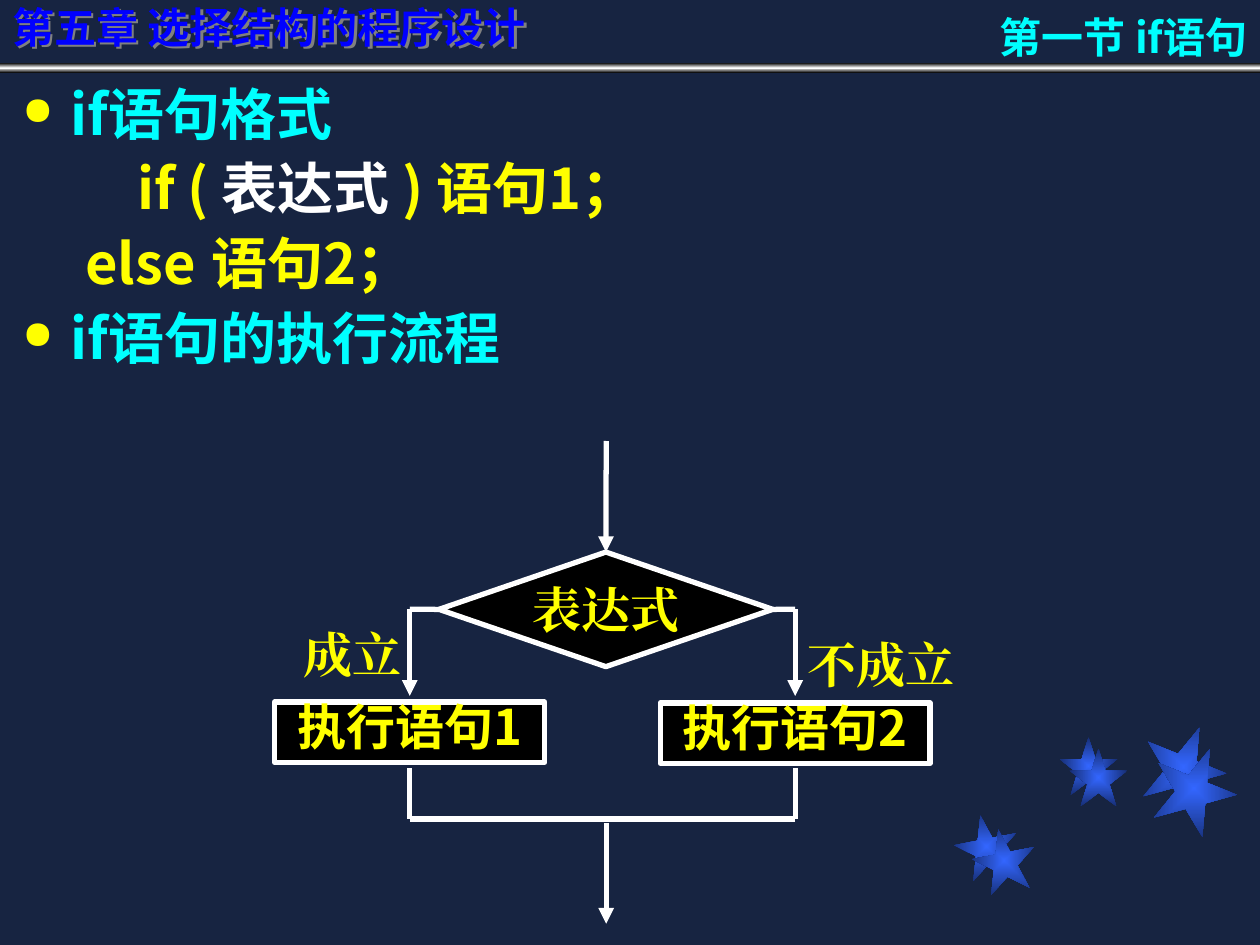
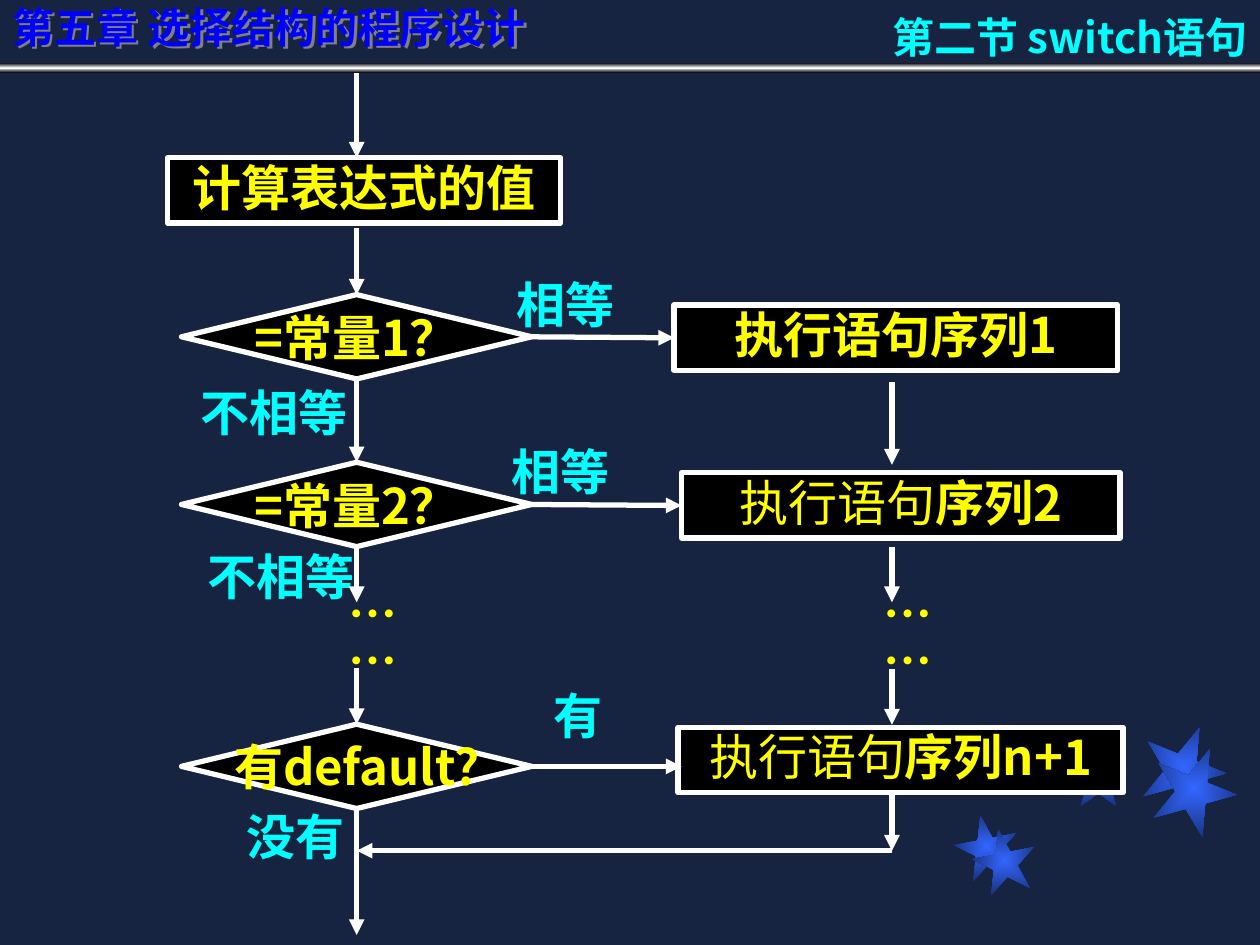
import pptx
import pptx.util
import pptx.dml.color
import pptx.enum.shapes
import pptx.enum.text
import pptx.oxml
import pptx.oxml.ns
from lxml import etree

Cm, Pt = pptx.util.Cm, pptx.util.Pt
RGB = pptx.dml.color.RGBColor
Kind = pptx.enum.shapes.MSO_SHAPE
Align = pptx.enum.text.PP_ALIGN
Anchor = pptx.enum.text.MSO_ANCHOR
qn = pptx.oxml.ns.qn

NAVY = RGB(0x17, 0x24, 0x41)
BLACK = RGB(0, 0, 0)
WHITE = RGB(255, 255, 255)
YELLOW = RGB(255, 255, 0)
CYAN = RGB(0, 255, 255)
BLUE = RGB(0, 0, 255)
STAR = RGB(0x33, 0x66, 0xFF)
DEEP = RGB(0x17, 0x2F, 0x75)
SANS, SERIF = "Noto Sans CJK SC", "Times New Roman"

# All places are in centimetres: left, top, width, height.
CHAPTER = "第五章 选择结构的程序设计"
STARS = [  # left, top, size, turn
    (19.25, 16.43, 1.27, 349), (21.36, 14.86, 1.17, 0), (23.01, 14.61, 1.7, 22),
    (19.61, 16.71, 1.27, 349), (21.56, 15.09, 1.17, 0), (23.22, 15.04, 1.7, 22),
]

BODY = [  # runs, bulleted, left margin, tab stops
    ([("if语句格式", CYAN)], True, 0.97, ()),
    ([("if ( ", YELLOW), ("表达式 ", WHITE), (") 语句1；", YELLOW)], False, 2.32, ()),
    ([("\telse\t语句2；", YELLOW)], False, 0, (7.16, 13.82)),
    ([("if语句的执行流程", CYAN)], True, 0.97, ()),
]

IF = {
    "test": ("表达式", (8.85, 11.13, 6.73, 2.31)),
    "boxes": [("执行语句1", (5.54, 14.15, 5.44, 1.22)),
              ("执行语句2", (13.31, 14.17, 5.44, 1.22))],
    "notes": [("成立", (5.87, 12.7, 2.84, 1.22)),
              ("不成立", (16.03, 12.9, 3.66, 1.22))],
    "mid": 12.22, "left": 8.26, "right": 16.03,
    "fork": 12.28, "boxtop": 14.03, "boxend": 15.49, "join": 16.51,
}

LEFT, RIGHT = 7.19, 17.98  # the two flow columns of the switch chart
START = ("计算表达式的值", (3.38, 3.18, 7.92, 1.32))
TESTS = [("=常量1？", 5.94), ("=常量2？", 9.32), ("有default?", 14.6)]
STEPS = [  # plain part, bold part, place
    ("", "执行语句序列1", (13.59, 6.15, 8.94, 1.32)),
    ("执行语句", "序列2", (13.74, 9.53, 8.84, 1.32)),
    ("执行语句", "序列n+1", (13.67, 14.66, 8.97, 1.32)),
]
YES = [("相等", (10.16, 5.82, 2.54, 0.97)), ("相等", (10.06, 9.19, 3.07, 0.97)),
       ("有", (10.9, 14.12, 1.47, 0.97))]
NO = [("不相等", (2.97, 7.82, 4.29, 1.22)), ("不相等", (3.91, 11.13, 3.48, 1.22)),
      ("没有", (4.65, 16.36, 2.54, 1.22))]
DOTS = "……"
DOWN = [  # column, from, to
    (LEFT, 4.6, 5.94), (LEFT, 9.65, 9.32), (LEFT, 11, 12.14), (LEFT, 16.36, 18.85),
    (RIGHT, 7.7, 9.37), (RIGHT, 11.02, 12.14), (RIGHT, 13.49, 14.61),
    (RIGHT, 16.03, 17.15),
]


def add(parent, tag, **attrs):
    return etree.SubElement(parent, qn(tag), attrs)


def style(para, size, color, font=SANS, bold=True, align=None, lead=None):
    para.alignment = align
    para.line_spacing = lead
    para.font.size = Pt(size)
    para.font.bold = bold
    para.font.color.rgb = color
    para.font.name = font
    add(para.font._element, "a:ea", typeface=font)


def place(shape, box):
    shape.left, shape.top, shape.width, shape.height = map(Cm, box)


def label(slide, text, box, color, **looks):
    shape = slide.shapes.add_textbox(*map(Cm, box))
    shape.text_frame.word_wrap = True
    shape.text_frame.text = text
    style(shape.text_frame.paragraphs[0], looks.pop("size", 28), color, **looks)
    return shape


def node(slide, kind, box, text, plain="", font=SANS, lead=None):
    """Draw a chart box; the plain part goes before the bold text."""
    shape = slide.shapes.add_shape(kind, *map(Cm, box))
    shape.shadow.inherit = False
    shape.fill.solid()
    shape.fill.fore_color.rgb = BLACK
    shape.line.color.rgb = WHITE
    shape.line.width = Pt(3)
    frame = shape.text_frame
    frame.word_wrap = kind == Kind.RECTANGLE
    frame.vertical_anchor = Anchor.TOP if frame.word_wrap else Anchor.MIDDLE
    para = frame.paragraphs[0]
    if plain:
        run = para.add_run()
        run.text = plain
        run.font.bold = False
    para.add_run().text = text
    style(para, 28, YELLOW, font, align=Align.CENTER, lead=lead)
    return shape


def link(slide, start, end, arrow=True, tail=None, head=None):
    """Draw a line; tail and head are (shape, side) pairs to join."""
    line = slide.shapes.add_connector(
        pptx.enum.shapes.MSO_CONNECTOR.STRAIGHT, *map(Cm, start + end))
    line.line.color.rgb = WHITE
    line.line.width = Pt(3)
    if arrow:
        add(line.line._get_or_add_ln(), "a:tailEnd", type="triangle")
    add(line._element.spPr, "a:effectLst")
    if tail:
        line.begin_connect(*tail)
    if head:
        line.end_connect(*head)


def blend(shape, colors):
    """Fill with an even gradient and return its XML element."""
    shape.shadow.inherit = False
    shape.line.fill.background()
    shape.fill.gradient()
    grad = shape._element.spPr.find(qn("a:gradFill"))
    stops = grad.find(qn("a:gsLst"))
    for stop in list(stops):
        stops.remove(stop)
    for i, color in enumerate(colors):
        stop = add(stops, "a:gs", pos=str(100000 * i // (len(colors) - 1)))
        add(stop, "a:srgbClr", val=str(color))
    return grad


def dress(layout, slide):
    """Draw the shared parts on a slide and move them to its layout."""
    parts = []
    for left, top, size, turn in STARS:
        star = slide.shapes.add_shape(Kind.STAR_5_POINT, *map(Cm, (left, top, size, size)))
        star.rotation = turn
        grad = blend(star, [STAR, DEEP])
        grad.remove(grad.find(qn("a:lin")))
        ring = add(grad, "a:path", path="rect")
        add(ring, "a:fillToRect", l="50000", t="50000", r="50000", b="50000")
        parts.append(star)
    band = slide.shapes.add_shape(Kind.RECTANGLE, *map(Cm, (0, 1.27, 25.4, 0.2)))
    blend(band, [BLACK, WHITE, BLACK])
    band.fill.gradient_angle = 90
    head = label(slide, CHAPTER, (0, -0.2, 12.5, 1.47), BLUE, size=24)
    head.text_frame.vertical_anchor = Anchor.MIDDLE
    glow = add(head._element.spPr, "a:effectLst")
    shade = add(glow, "a:outerShdw", dist="25400", dir="2700000")
    add(shade, "a:srgbClr", val="808080")
    for part in parts + [band, head]:
        layout.shapes.element.append(part.element)
    layout.background.fill.solid()
    layout.background.fill.fore_color.rgb = NAVY


def head(slide, text):
    title = slide.shapes.title
    place(title, (15.44, 0, 9.96, 1.47))
    frame = title.text_frame
    frame.text = text
    frame.auto_size = pptx.enum.text.MSO_AUTO_SIZE.NONE
    frame.vertical_anchor = Anchor.MIDDLE
    style(frame.paragraphs[0], 24, CYAN, align=Align.RIGHT)


def outline(slide):
    frame = slide.shapes.add_textbox(*map(Cm, (0.2, 1.47, 24.56, 7.57))).text_frame
    frame.word_wrap = True
    for i, (runs, dot, margin, tabs) in enumerate(BODY):
        para = frame.add_paragraph() if i else frame.paragraphs[0]
        props = para._p.get_or_add_pPr()
        props.set("marL", str(Cm(margin)))
        props.set("indent", str(-Cm(margin) if dot else 0))
        if dot:
            add(add(props, "a:buClr"), "a:srgbClr", val=str(YELLOW))
            add(props, "a:buSzPct", val="70000")
            add(props, "a:buChar", char="●")
        if tabs:
            stops = add(props, "a:tabLst")
            for tab in tabs:
                add(stops, "a:tab", pos=str(Cm(tab)), algn="l")
        for text, color in runs:
            run = para.add_run()
            run.text = text
            if len(runs) > 1:
                run.font.color.rgb = color
        style(para, 32, runs[0][1])
        if i:
            para.space_before = Pt(4.3)


def if_chart(slide):
    text, box = IF["test"]
    test = node(slide, Kind.DIAMOND, box, text, font=SERIF)
    for text, box in IF["boxes"]:
        node(slide, Kind.RECTANGLE, box, text, lead=0.8)
    for text, box in IF["notes"]:
        label(slide, text, box, YELLOW, font=SERIF, lead=0.8)
    mid, fork, join = IF["mid"], IF["fork"], IF["join"]
    link(slide, (mid, 8.89), (mid, 11.13), head=(test, 0))
    for x, side in ((IF["left"], 1), (IF["right"], 3)):
        link(slide, (mid, fork), (x, fork), False, tail=(test, side))
        link(slide, (x, fork), (x, IF["boxtop"]))
        link(slide, (x, IF["boxend"]), (x, join), False)
    link(slide, (IF["right"], join), (IF["left"], join), False)
    link(slide, (mid, 16.59), (mid, 18.62))


def switch_chart(slide):
    text, box = START
    node(slide, Kind.RECTANGLE, box, text, lead=0.9)
    wide, high = 7.06, 1.7
    tests = [node(slide, Kind.DIAMOND, (LEFT - wide / 2, top, wide, high), text)
             for text, top in TESTS]
    steps = [node(slide, Kind.RECTANGLE, box, text, plain, lead=0.9)
             for plain, text, box in STEPS]
    for text, box in YES:
        label(slide, text, box, CYAN, lead=0.6)
    for text, box in NO:
        label(slide, text, box, CYAN, align=Align.RIGHT, lead=0.8)
    for x in (LEFT, RIGHT):
        label(slide, DOTS, (x - 1.14, 11.86, 2.21, 2.16), YELLOW,
              align=Align.RIGHT, lead=0.8)
    for test, step, (_, top) in zip(tests, steps, TESTS):
        y = top + high / 2
        level = abs(step.top + step.height / 2 - Cm(y)) < Cm(0.05)
        link(slide, (LEFT + wide / 2, y), (13.74, y), tail=(test, 3),
             head=(step, 1) if level else None)
    first, second, last = tests
    link(slide, (LEFT, 1.47), (LEFT, 3.18))
    link(slide, (LEFT, 4.6), (LEFT, 5.94), head=(first, 0))
    link(slide, (LEFT, 7.64), (LEFT, 9.32), tail=(first, 2), head=(second, 0))
    link(slide, (LEFT, 11.02), (LEFT, 12.14), tail=(second, 2))
    link(slide, (LEFT, 13.46), (LEFT, 14.6), head=(last, 0))
    link(slide, (LEFT, 16.3), (LEFT, 18.85), tail=(last, 2))
    for x, top, end in DOWN:
        if x == RIGHT:
            link(slide, (x, top), (x, end))
    link(slide, (RIGHT, 17.15), (LEFT, 17.15))


def main():
    deck = pptx.Presentation()
    deck.slide_width, deck.slide_height = Cm(25.4), Cm(19.05)
    layout = deck.slide_layouts[5]
    first, second = (deck.slides.add_slide(layout) for _ in range(2))
    dress(layout, first)
    head(first, "第一节 if语句")
    outline(first)
    if_chart(first)
    head(second, "第二节 switch语句")
    switch_chart(second)
    deck.save("out.pptx")


if __name__ == "__main__":
    main()
